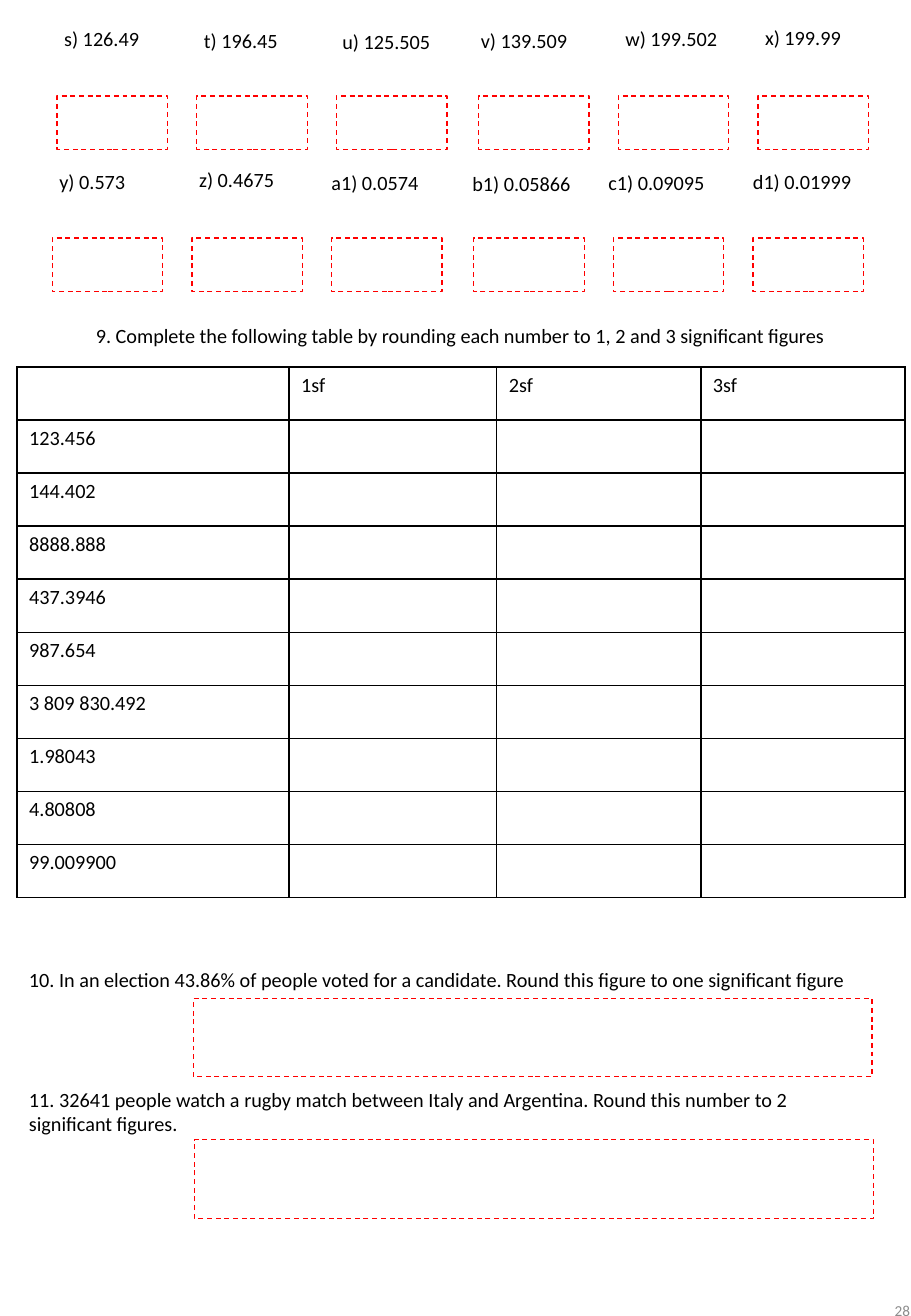
from lxml.etree import SubElement
from pptx import Presentation
from pptx.dml.color import RGBColor
from pptx.enum.dml import MSO_LINE
from pptx.enum.shapes import MSO_SHAPE
from pptx.enum.text import MSO_ANCHOR, PP_ALIGN
from pptx.oxml.ns import qn
from pptx.util import Inches, Pt

WIDTH, HEIGHT = 7.5, 10.83
COLUMN_PITCH, HALF_GAP = 1.15, 0.02
ANSWER_DROP = 0.62

ROUNDING_ROWS = [
    (0.47, 0.17, [
        ("s) 126.49", -0.04, 0), ("t) 196.45", -0.04, 0.01),
        ("u) 125.505", -0.05, 0.02), ("v) 139.509", -0.08, 0.01),
        ("w) 199.502", -0.04, 0), ("x) 199.99", -0.04, -0.01)]),
    (0.43, 1.34, [
        ("y) 0.573", -0.04, 0), ("z) 0.4675", -0.04, -0.01),
        ("a1) 0.0574", -0.1, 0.01), ("b1) 0.05866", -0.11, 0.02),
        ("c1) 0.09095", -0.14, 0.01), ("d1) 0.01999", -0.1, 0)]),
]
HEADINGS = ["", "1sf", "2sf", "3sf"]
NUMBERS = ["123.456", "144.402", "8888.888", "437.3946", "987.654",
           "3 809 830.492", "1.98043", "4.80808", "99.009900"]
TABLE_COLUMNS = [2.24, 1.71, 1.68, 1.68]
QUESTIONS = [
    ("10. In an election 43.86% of people voted for a candidate. "
     "Round this figure to one significant figure",
     (0.14, 7.91, 7.17, 0.3), (1.59, 8.22, 5.59, 0.64)),
    ("11. 32641 people watch a rugby match between Italy and Argentina. "
     "Round this number to 2 significant figures.",
     (0.14, 8.9, 7.17, 0.5), (1.6, 9.38, 5.59, 0.65)),
]


def colour(hex_value):
    return RGBColor.from_string(hex_value)


def style(paragraph, size=12, hex_value="000000"):
    paragraph.font.name = "Calibri"
    paragraph.font.size = Pt(size)
    paragraph.font.color.rgb = colour(hex_value)


def write(slide, text, box, wrap=True, size=12, hex_value="000000"):
    frame = slide.shapes.add_textbox(*map(Inches, box)).text_frame
    frame.word_wrap = wrap
    frame.text = text
    style(frame.paragraphs[0], size, hex_value)
    return frame


def answer_box(slide, box):
    answer = slide.shapes.add_shape(MSO_SHAPE.RECTANGLE, *map(Inches, box))
    answer.shadow.inherit = False
    answer.fill.solid()
    answer.fill.fore_color.rgb = colour("FFFFFF")
    answer.line.color.rgb = colour("FF0000")
    answer.line.width = Pt(0.75)
    answer.line.dash_style = MSO_LINE.DASH


def rounding_row(slide, left, top, items):
    for column, (label, shift, drop) in enumerate(items):
        x = left + column * COLUMN_PITCH + HALF_GAP * (column >= 3)
        write(slide, label, (x + shift, top + drop, COLUMN_PITCH, 0.3))
        answer_box(slide, (x, top + ANSWER_DROP, 0.91, 0.44))


def border(cell):
    properties = cell._tc.get_or_add_tcPr()
    for index, side in enumerate(("a:lnL", "a:lnR", "a:lnT", "a:lnB")):
        edge = properties.makeelement(qn(side), {"w": str(Pt(1))})
        fill = SubElement(edge, qn("a:solidFill"))
        SubElement(fill, qn("a:srgbClr"), val="000000")
        properties.insert(index, edge)


def figures_table(slide, box):
    rows = [HEADINGS] + [[number, "", "", ""] for number in NUMBERS]
    table = slide.shapes.add_table(
        len(rows), len(HEADINGS), *map(Inches, box)).table
    table.first_row = table.horz_banding = False
    for column, width in zip(table.columns, TABLE_COLUMNS):
        column.width = Inches(width)
    for r, row in enumerate(rows):
        for c, text in enumerate(row):
            cell = table.cell(r, c)
            cell.text = text
            style(cell.text_frame.paragraphs[0])
            cell.fill.background()
            border(cell)


def page_number(slide, box):
    frame = write(slide, "28", box, size=9, hex_value="8C8C8C")
    frame.vertical_anchor = MSO_ANCHOR.MIDDLE
    frame.paragraphs[0].alignment = PP_ALIGN.RIGHT


def main():
    deck = Presentation()
    deck.slide_width, deck.slide_height = Inches(WIDTH), Inches(HEIGHT)
    slide = deck.slides.add_slide(deck.slide_layouts[6])
    for left, top, items in ROUNDING_ROWS:
        rounding_row(slide, left, top, items)
    write(slide, "9. Complete the following table by rounding each number "
          "to 1, 2 and 3 significant figures", (0.69, 2.61, 6.42, 0.3), wrap=False)
    figures_table(slide, (0.14, 3.02, sum(TABLE_COLUMNS), 4.37))
    for question, text_area, answer_area in QUESTIONS:
        write(slide, question, text_area)
        answer_box(slide, answer_area)
    page_number(slide, (5.9, 10.49, 1.69, 0.58))
    deck.save("out.pptx")


if __name__ == "__main__":
    main()
